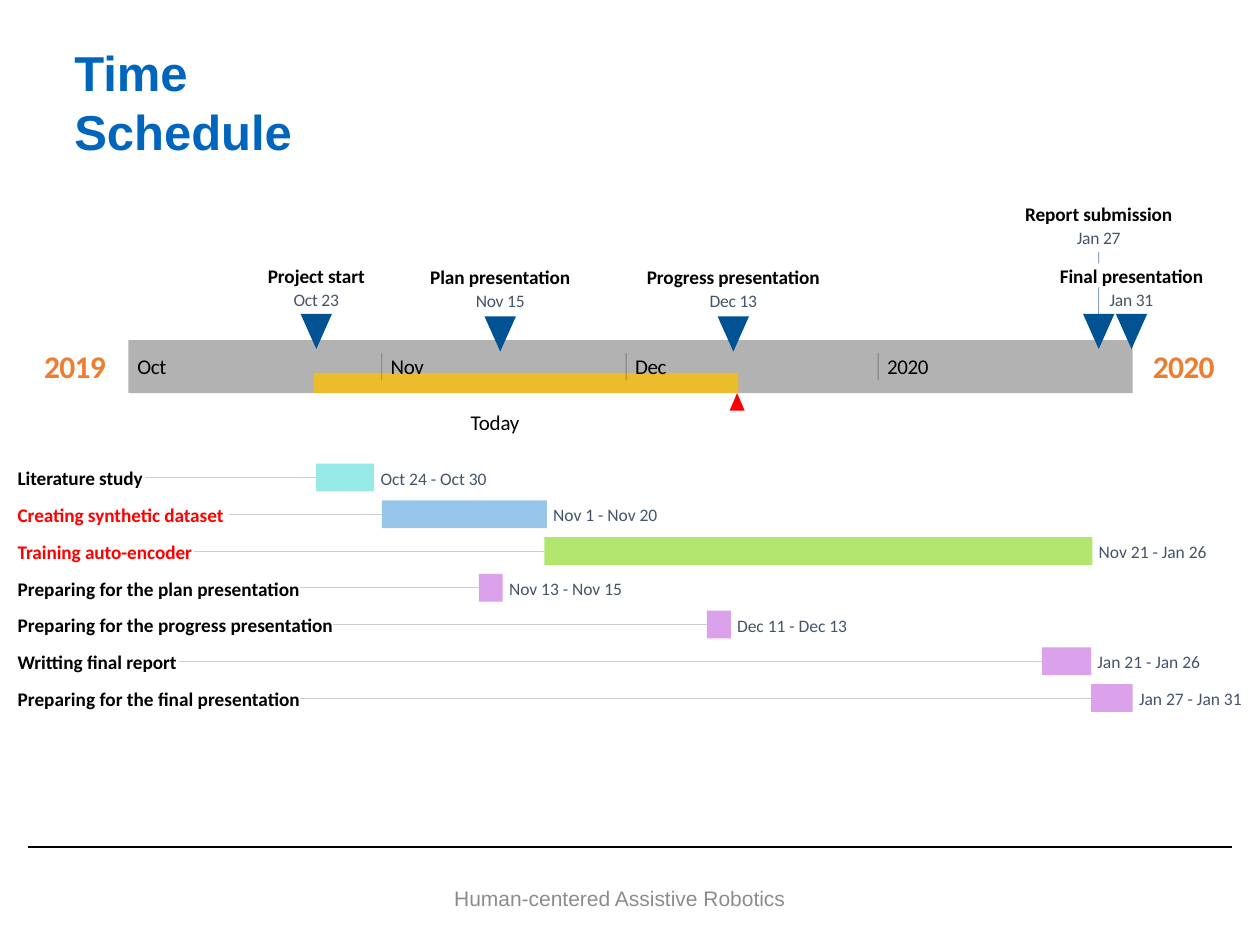
"""Build a project time schedule slide with a timeline and task bars."""
import pptx
import pptx.util
import pptx.dml.color
import pptx.enum.shapes
import pptx.enum.text
import pptx.oxml.ns
import lxml.etree

Inches = pptx.util.Inches
SHAPE = pptx.enum.shapes.MSO_SHAPE
ALIGN = pptx.enum.text.PP_ALIGN
ANCHOR = pptx.enum.text.MSO_ANCHOR

COLORS = {
    "title": "0065BD", "text": "000000", "date": "44546A", "alert": "FF0000",
    "year": "ED7D31", "footer": "8C8C8C", "band": "B2B2B2", "elapsed": "FFC000",
    "marker": "005293", "guide": "CCCCCC", "stem": "1F497E", "study": "98EAE6",
    "data": "98C6EA", "training": "B1E56D", "preparing": "DCA1EB",
}
MONTHS = [("Oct", 1.02), ("Nov", 3.03), ("Dec", 4.97), ("2020", 6.97)]
MILESTONES = [
    ("Project start", "Oct 23", 2.51, 0.78, 2.09, 2.49),
    ("Plan presentation", "Nov 15", 3.97, 1.12, 2.1, 2.51),
    ("Progress presentation", "Dec 13", 5.82, 1.39, 2.1, 2.51),
    ("Report submission", "Jan 27", 8.72, 1.22, 1.6, 2.49),
    ("Final presentation", "Jan 31", 8.98, 1.15, 2.09, 2.49),
]
TASKS = [
    ("Literature study", "Oct 24 - Oct 30", 1.01, 2.51, 0.46, "study", "text", -0.05),
    ("Creating synthetic dataset", "Nov 1 - Nov 20", 1.68, 3.03, 1.31, "data", "alert", -0.05),
    ("Training auto-encoder", "Nov 21 - Jan 26", 1.4, 4.32, 4.35, "training", "alert", -0.05),
    ("Preparing for the plan presentation", "Nov 13 - Nov 15", 2.24, 3.8, 0.19,
     "preparing", "text", 0),
    ("Preparing for the progress presentation", "Dec 11 - Dec 13", 2.5, 5.61, 0.19,
     "preparing", "text", 0),
    ("Writting final report", "Jan 21 - Jan 26", 1.28, 8.27, 0.39, "preparing", "text", -0.05),
    ("Preparing for the final presentation", "Jan 27 - Jan 31", 2.24, 8.66, 0.33,
     "preparing", "text", 0),
]
TASK_LEFT, TASK_TOP, TASK_BOTTOM = 0.14, 3.68, 5.43
TASK_STEP = (TASK_BOTTOM - TASK_TOP) / (len(TASKS) - 1)


def rgb(name):
    """Return the named colour."""
    return pptx.dml.color.RGBColor.from_string(COLORS[name])


def set_alpha(sp, percent):
    """Set the opacity of the solid colour in a shape or line."""
    for clr in sp._element.spPr.iter(pptx.oxml.ns.qn("a:srgbClr")):
        alpha = lxml.etree.SubElement(clr, pptx.oxml.ns.qn("a:alpha"))
        alpha.set("val", str(percent * 1000))


def add_run(p, text, size, color, bold=False, font="Calibri", spacing=0):
    """Append a formatted run to a paragraph."""
    r = p.add_run()
    r.text = text
    r.font.size = pptx.util.Pt(size)
    r.font.name = font
    r.font.bold = bold
    r.font.color.rgb = rgb(color)
    if spacing:
        r._r.get_or_add_rPr().set("spc", str(round(spacing * 100)))


def add_label(s, text, x, y, w, h, size, color, align=ALIGN.LEFT, wrap=True, **style):
    """Add a text box without margins."""
    sp = s.shapes.add_textbox(Inches(x), Inches(y), Inches(w), Inches(h))
    tf = sp.text_frame
    tf.word_wrap = wrap
    tf.vertical_anchor = ANCHOR.MIDDLE
    tf.margin_left = tf.margin_right = tf.margin_top = tf.margin_bottom = 0
    p = tf.paragraphs[0]
    p.alignment = align
    add_run(p, text, size, color, **style)


def add_block(s, kind, x, y, w, h, color):
    """Add a filled shape without an outline."""
    sp = s.shapes.add_shape(kind, Inches(x), Inches(y), Inches(w), Inches(h))
    sp.shadow.inherit = False
    sp.fill.solid()
    sp.fill.fore_color.rgb = rgb(color)
    sp.line.fill.background()
    return sp


def add_line(s, x1, y1, x2, y2, color, width=0.5, opacity=100):
    """Add a straight line."""
    sp = s.shapes.add_connector(pptx.enum.shapes.MSO_CONNECTOR.STRAIGHT,
                                Inches(x1), Inches(y1), Inches(x2), Inches(y2))
    sp.line.color.rgb = rgb(color)
    sp.line.width = pptx.util.Pt(width)
    if opacity < 100:
        set_alpha(sp, opacity)
    lxml.etree.SubElement(sp._element.spPr, pptx.oxml.ns.qn("a:effectLst"))


def add_title(s, text):
    """Place and format the title."""
    sp = s.shapes.title
    sp.left, sp.top, sp.width, sp.height = map(Inches, (0.49, 0.29, 2.57, 1.03))
    tf = sp.text_frame
    tf.word_wrap = True
    tf.vertical_anchor = ANCHOR.TOP
    p = tf.paragraphs[0]
    p.alignment = ALIGN.LEFT
    add_run(p, text, 28, "title", bold=True, font="Arial")


def add_timeline(s):
    """Draw the band with its months, years and elapsed time."""
    add_block(s, SHAPE.RECTANGLE, 1.02, 2.7, 7.97, 0.42, "band")
    set_alpha(add_block(s, SHAPE.RECTANGLE, 2.49, 2.96, 3.37, 0.16, "elapsed"), 75)
    add_block(s, SHAPE.ISOSCELES_TRIANGLE, 5.79, 3.12, 0.12, 0.14, "alert")
    add_label(s, "Today", 3.73, 3.25, 0.4, 0.2, 12, "text", ALIGN.CENTER, False, spacing=-0.1)
    for i, (month, x) in enumerate(MONTHS):
        add_label(s, month, x + 0.07, 2.81, 0.35, 0.2, 12, "text", spacing=-0.2)
        if i:
            add_line(s, x, 2.8, x, 3.02, "text", opacity=30)
    for year, x in (("2019", 0.35), ("2020", 9.15)):
        add_label(s, year, x, 2.75, 0.49, 0.31, 18, "year", ALIGN.CENTER, False,
                  bold=True, spacing=-0.4)


def add_milestone(s, name, date, x, w, top, marker_top):
    """Draw a milestone marker with its name and date centred above."""
    sp = add_block(s, SHAPE.ISOSCELES_TRIANGLE, x - 0.125, marker_top, 0.25, 0.28, "marker")
    sp.rotation = 180
    add_label(s, name, x - w / 2 - 0.05, top, w + 0.1, 0.19, 11, "text", ALIGN.CENTER,
              bold=True, spacing=-0.05)
    add_label(s, date, x - 0.2, top + 0.2, 0.4, 0.17, 10, "date", ALIGN.CENTER, spacing=-0.1)


def add_task(s, y, name, dates, w, bar_x, bar_w, color, name_color, spacing):
    """Draw one task row: name, guide line, bar and dates."""
    add_line(s, TASK_LEFT + w, y + 0.11, bar_x, y + 0.11, "guide")
    add_block(s, SHAPE.RECTANGLE, bar_x, y, bar_w, 0.22, color)
    add_label(s, name, TASK_LEFT, y + 0.02, w + 0.15, 0.19, 11, name_color,
              bold=True, spacing=spacing)
    add_label(s, dates, bar_x + bar_w + 0.05, y + 0.03, 0.92, 0.17, 10, "date")


def main():
    """Build and save the slide."""
    prs = pptx.Presentation()
    prs.slide_width, prs.slide_height = Inches(10), Inches(7.5)
    s = prs.slides.add_slide(prs.slide_layouts[5])
    add_title(s, "Time Schedule")
    add_line(s, 0.22, 6.72, 9.78, 6.72, "text", 1)
    add_label(s, "Human-centered Assistive Robotics", 1.69, 6.92, 6.46, 0.41, 12,
              "footer", ALIGN.CENTER, font="Arial")
    for y1, y2 in ((2, 2.09), (2.28, 2.63)):
        add_line(s, 8.72, y1, 8.72, y2, "stem", opacity=50)
    add_timeline(s)
    for milestone in MILESTONES:
        add_milestone(s, *milestone)
    for i, task in enumerate(TASKS):
        add_task(s, TASK_TOP + i * TASK_STEP, *task)
    prs.save("out.pptx")


if __name__ == "__main__":
    main()
